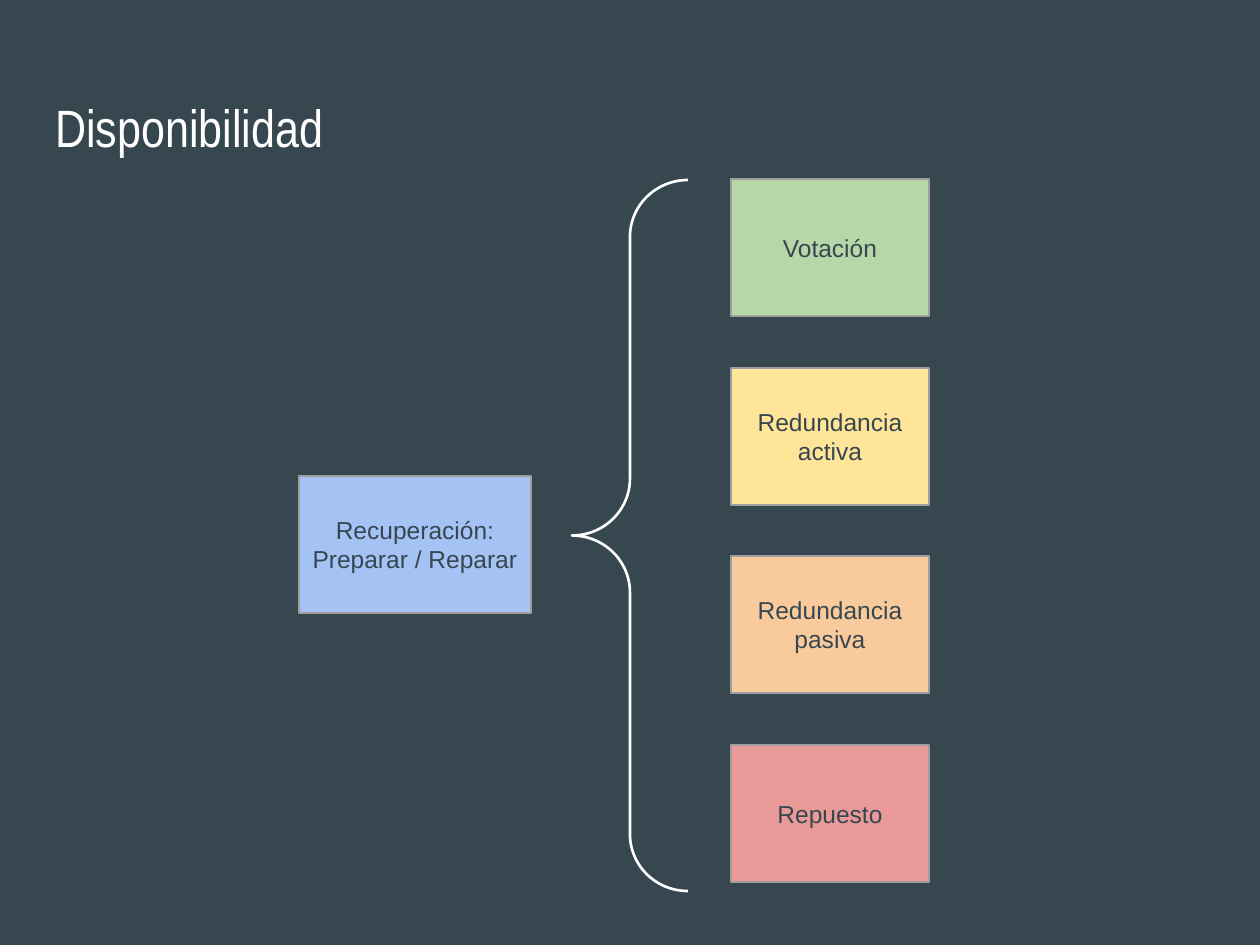
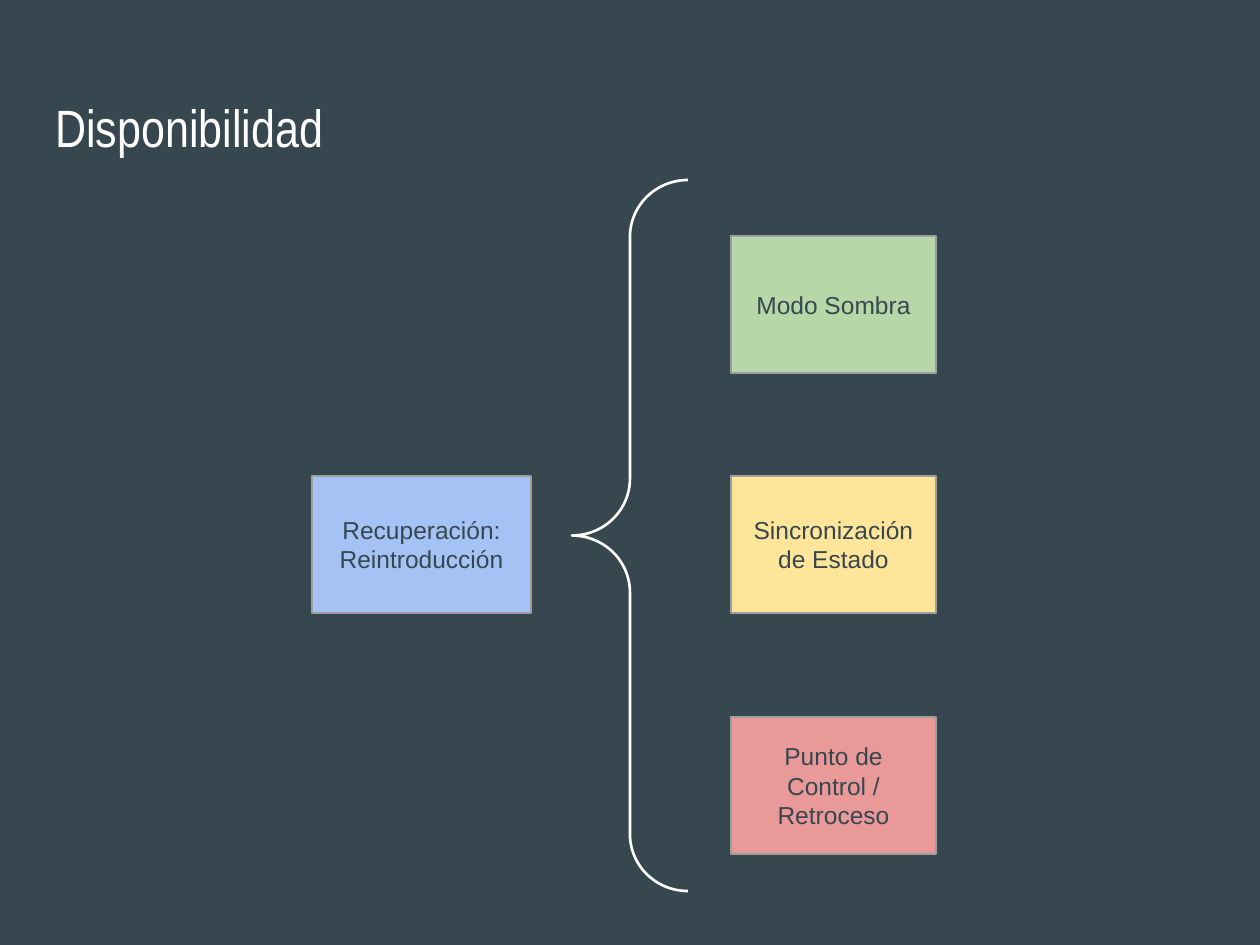
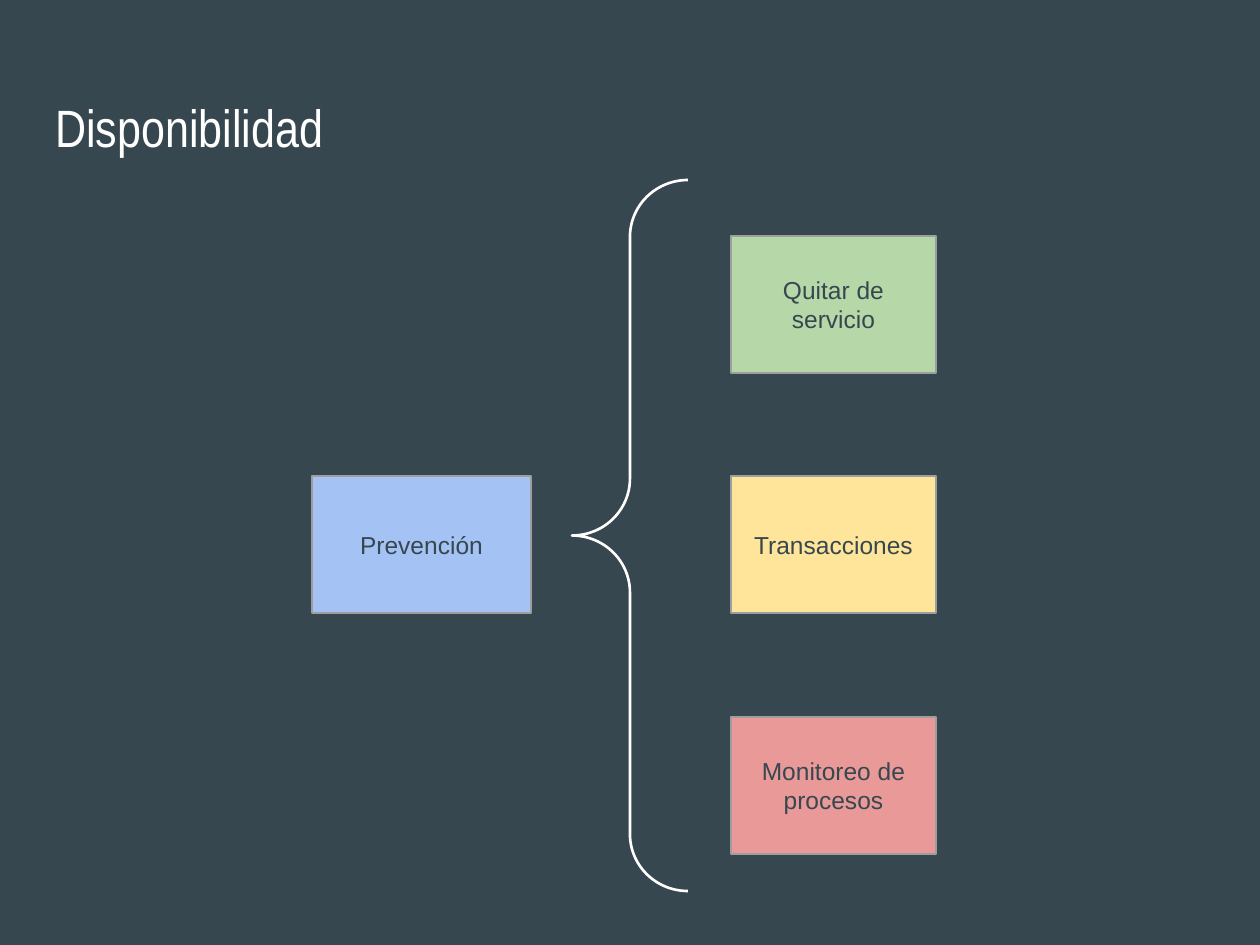
from dataclasses import dataclass

from pptx import Presentation
from pptx.dml.color import RGBColor as RGB
from pptx.enum.shapes import MSO_SHAPE as Shape
from pptx.enum.text import MSO_ANCHOR as Anchor, PP_ALIGN as Align
from pptx.util import Pt

EMU_PER_PX = 914400 / 126

BOX_HEIGHT = 137
CAUSE_RIGHT, CAUSE_TOP = 531, 476
TACTICS_LEFT = 731


@dataclass(frozen=True)
class Theme:
    background: str = "37474F"
    title: str = "FFFFFF"
    ink: str = "37474F"
    border: str = "9E9E9E"
    brace: str = "FFFFFF"
    blue: str = "A4C2F4"
    green: str = "B6D7A8"
    yellow: str = "FFE599"
    orange: str = "F9CB9C"
    red: str = "EA9999"
    title_font: str = "Arial Narrow"
    body_font: str = "Arial"
    title_size: int = 30
    body_size: int = 14
    border_width: float = 0.75
    brace_width: float = 1.5


THEME = Theme()


def px(*lengths):
    return [round(length * EMU_PER_PX) for length in lengths]


def write(shape, text, *, font, size, color, align=Align.LEFT, anchor=Anchor.TOP):
    """Fill a shape with text, one paragraph for each line of it."""
    frame = shape.text_frame
    frame.word_wrap = True
    frame.vertical_anchor = anchor
    (inset,) = px(12.6)
    frame.margin_left = frame.margin_right = inset
    frame.margin_top = frame.margin_bottom = inset
    frame.text = text
    for paragraph in frame.paragraphs:
        paragraph.alignment = align
        for run in paragraph.runs:
            run.font.name = font
            run.font.size = Pt(size)
            run.font.color.rgb = RGB.from_string(color)


def add_outlined(slide, kind, bounds, line_color, line_width):
    shape = slide.shapes.add_shape(kind, *px(*bounds))
    shape.shadow.inherit = False
    shape.line.color.rgb = RGB.from_string(line_color)
    shape.line.width = Pt(line_width)
    return shape


def add_title(slide, text):
    title = slide.shapes.add_textbox(*px(43, 82, 1174, 105))
    write(title, text, font=THEME.title_font, size=THEME.title_size, color=THEME.title)


def add_box(slide, text, left, top, width, fill):
    box = add_outlined(slide, Shape.RECTANGLE, (left, top, width, BOX_HEIGHT),
                       THEME.border, THEME.border_width)
    box.fill.solid()
    box.fill.fore_color.rgb = RGB.from_string(fill)
    write(box, text, font=THEME.body_font, size=THEME.body_size, color=THEME.ink,
          align=Align.CENTER, anchor=Anchor.MIDDLE)


def add_brace(slide):
    brace = add_outlined(slide, Shape.LEFT_BRACE, (572, 180, 116, 711),
                         THEME.brace, THEME.brace_width)
    brace.fill.background()
    brace.adjustments[0] = 0.49
    brace.adjustments[1] = 0.5


def add_tactics(slide, tactics, first_top, last_top, width):
    """Stack the tactics at equal steps between two tops."""
    step = (last_top - first_top) / (len(tactics) - 1)
    for row, (text, fill) in enumerate(tactics):
        add_box(slide, text, TACTICS_LEFT, round(first_top + row * step), width, fill)


def add_category_slide(deck, cause, tactics, *, cause_width=219, first_top=236,
                       last_top=717, tactic_width=205):
    slide = deck.slides.add_slide(deck.slide_layouts[6])
    slide.background.fill.solid()
    slide.background.fill.fore_color.rgb = RGB.from_string(THEME.background)
    add_title(slide, "Disponibilidad")
    add_box(slide, cause, CAUSE_RIGHT - cause_width, CAUSE_TOP, cause_width, THEME.blue)
    add_tactics(slide, tactics, first_top, last_top, tactic_width)
    add_brace(slide)


def main():
    deck = Presentation()
    deck.slide_width, deck.slide_height = px(1260, 945)
    add_category_slide(
        deck, "Recuperación:\nPreparar / Reparar",
        [("Votación", THEME.green), ("Redundancia activa", THEME.yellow),
         ("Redundancia pasiva", THEME.orange), ("Repuesto", THEME.red)],
        cause_width=232, first_top=179, last_top=745, tactic_width=198)
    add_category_slide(
        deck, "Recuperación: Reintroducción",
        [("Modo Sombra", THEME.green), ("Sincronización de Estado", THEME.yellow),
         ("Punto de Control / Retroceso", THEME.red)])
    add_category_slide(
        deck, "Prevención",
        [("Quitar de servicio", THEME.green), ("Transacciones", THEME.yellow),
         ("Monitoreo de procesos", THEME.red)])
    deck.save("out.pptx")


if __name__ == "__main__":
    main()
